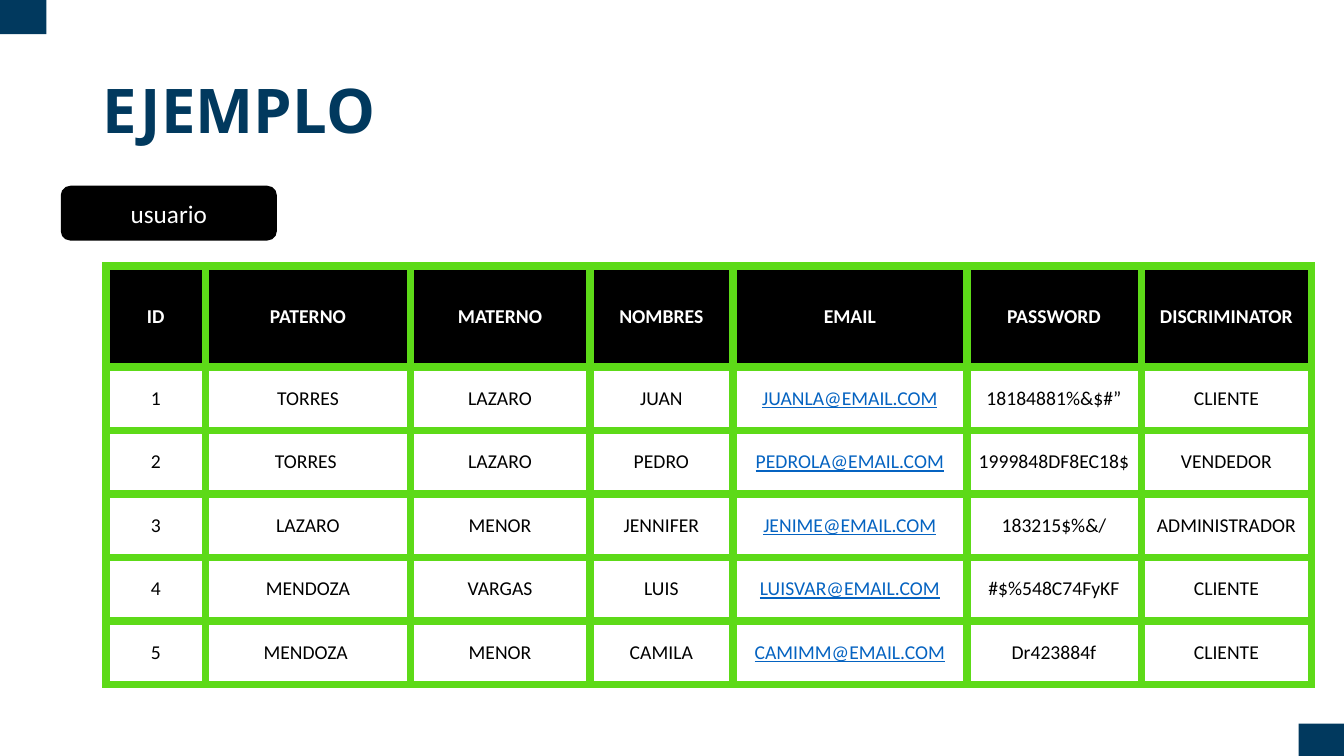
from dataclasses import dataclass

from lxml.etree import SubElement
from pptx import Presentation
from pptx.dml.color import RGBColor
from pptx.enum.shapes import MSO_SHAPE
from pptx.enum.text import MSO_ANCHOR, PP_ALIGN
from pptx.oxml.ns import qn
from pptx.util import Inches, Pt


@dataclass(frozen=True)
class Theme:
    navy: str = "01395E"
    green: str = "5DDA18"
    black: str = "000000"
    white: str = "FFFFFF"
    link: str = "0563C1"
    title_font: str = "Open Sans"
    body_font: str = "Calibri"
    title_size: int = 44
    label_size: int = 18
    table_size: int = 14
    border_width: int = 6


HEADERS = ["ID", "PATERNO", "MATERNO", "NOMBRES", "EMAIL", "PASSWORD", "DISCRIMINATOR"]
USERS = [
    ["1", "TORRES", "LAZARO", "JUAN", "JUANLA@EMAIL.COM", "18184881%&$#”", "CLIENTE"],
    ["2", "TORRES ", "LAZARO", "PEDRO", "PEDROLA@EMAIL.COM", "1999848DF8EC18$", "VENDEDOR"],
    ["3", "LAZARO", "MENOR", "JENNIFER", "JENIME@EMAIL.COM", "183215$%&/", "ADMINISTRADOR"],
    ["4", "MENDOZA", "VARGAS", "LUIS", "LUISVAR@EMAIL.COM", "#$%548C74FyKF", "CLIENTE"],
    ["5", "MENDOZA ", "MENOR", "CAMILA", "CAMIMM@EMAIL.COM", "Dr423884f", "CLIENTE"],
]
COLUMN_WIDTHS = [0.99, 2.03, 1.78, 1.42, 2.32, 1.73, 1.69]
HEADER_HEIGHT, USER_HEIGHT = 1, 0.63


class SlideBuilder:
    def __init__(self, slide, theme):
        self.slide = slide
        self.theme = theme

    def set_text(self, text_frame, text, size, color, font=None, bold=False,
                 align=PP_ALIGN.CENTER):
        """Fill a text frame with one styled paragraph and return it."""
        text_frame.text = text
        paragraph = text_frame.paragraphs[0]
        paragraph.alignment = align
        for run in paragraph.runs:
            run.font.name = font or self.theme.body_font
            run.font.size = Pt(size)
            run.font.bold = bold
            run.font.color.rgb = RGBColor.from_string(color)
        return paragraph

    def block(self, left, top, width, height, color, kind=MSO_SHAPE.RECTANGLE):
        shape = self.slide.shapes.add_shape(
            kind, Inches(left), Inches(top), Inches(width), Inches(height))
        shape.shadow.inherit = False
        shape.fill.solid()
        shape.fill.fore_color.rgb = RGBColor.from_string(color)
        shape.line.fill.background()
        return shape

    def label(self, left, top, width, height, text):
        theme = self.theme
        shape = self.block(left, top, width, height, theme.black, MSO_SHAPE.ROUNDED_RECTANGLE)
        shape.line.color.rgb = RGBColor.from_string(theme.black)
        shape.line.width = Pt(1)
        shape.text_frame.vertical_anchor = MSO_ANCHOR.MIDDLE
        self.set_text(shape.text_frame, text, theme.label_size, theme.white)

    def title(self, left, top, width, height, text):
        theme = self.theme
        box = self.slide.shapes.add_textbox(
            Inches(left), Inches(top), Inches(width), Inches(height))
        box.text_frame.word_wrap = True
        box.text_frame.vertical_anchor = MSO_ANCHOR.MIDDLE
        paragraph = self.set_text(box.text_frame, text, theme.title_size, theme.navy,
                                  theme.title_font, True, PP_ALIGN.LEFT)
        paragraph.line_spacing = 0.9

    def table(self, left, top, column_widths, row_heights, rows, link_column):
        table = self.slide.shapes.add_table(
            len(rows), len(column_widths), Inches(left), Inches(top),
            Inches(sum(column_widths)), Inches(sum(row_heights))).table
        table.horz_banding = False
        for column, width in zip(table.columns, column_widths):
            column.width = Inches(width)
        for row, height in zip(table.rows, row_heights):
            row.height = Inches(height)
        for row_index, values in enumerate(rows):
            for column_index, text in enumerate(values):
                self.cell(table.cell(row_index, column_index), text,
                          row_index == 0, column_index == link_column)

    def cell(self, cell, text, is_header, in_link_column):
        theme = self.theme
        is_link = in_link_column and not is_header
        color = theme.white if is_header else theme.link if is_link else theme.black
        self.border(cell)
        cell.fill.solid()
        cell.fill.fore_color.rgb = RGBColor.from_string(theme.black if is_header else theme.white)
        cell.vertical_anchor = MSO_ANCHOR.MIDDLE
        paragraph = self.set_text(cell.text_frame, text, theme.table_size, color, bold=is_header)
        paragraph.runs[0].font.underline = is_link

    def border(self, cell):
        """Draw all four sides; call before filling, as the schema puts lines first."""
        properties = cell._tc.get_or_add_tcPr()
        for side in ("lnL", "lnR", "lnT", "lnB"):
            line = SubElement(properties, qn(f"a:{side}"), w=str(Pt(self.theme.border_width)))
            fill = SubElement(line, qn("a:solidFill"))
            SubElement(fill, qn("a:srgbClr"), val=self.theme.green)


def main():
    presentation = Presentation()
    presentation.slide_width = Inches(13.33)
    presentation.slide_height = Inches(7.5)
    theme = Theme()
    slide = presentation.slides.add_slide(presentation.slide_layouts[6])
    builder = SlideBuilder(slide, theme)

    for left, top in ((0, 0), (12.88, 7.18)):
        builder.block(left, top, 0.46, 0.34, theme.navy)
    row_heights = [HEADER_HEIGHT] + [USER_HEIGHT] * len(USERS)
    builder.table(1.05, 2.64, COLUMN_WIDTHS, row_heights, [HEADERS] + USERS,
                  HEADERS.index("EMAIL"))
    builder.label(0.61, 1.85, 2.13, 0.53, "usuario")
    builder.title(0.92, 0.4, 11.5, 1.45, "EJEMPLO")
    presentation.save("out.pptx")


if __name__ == "__main__":
    main()
